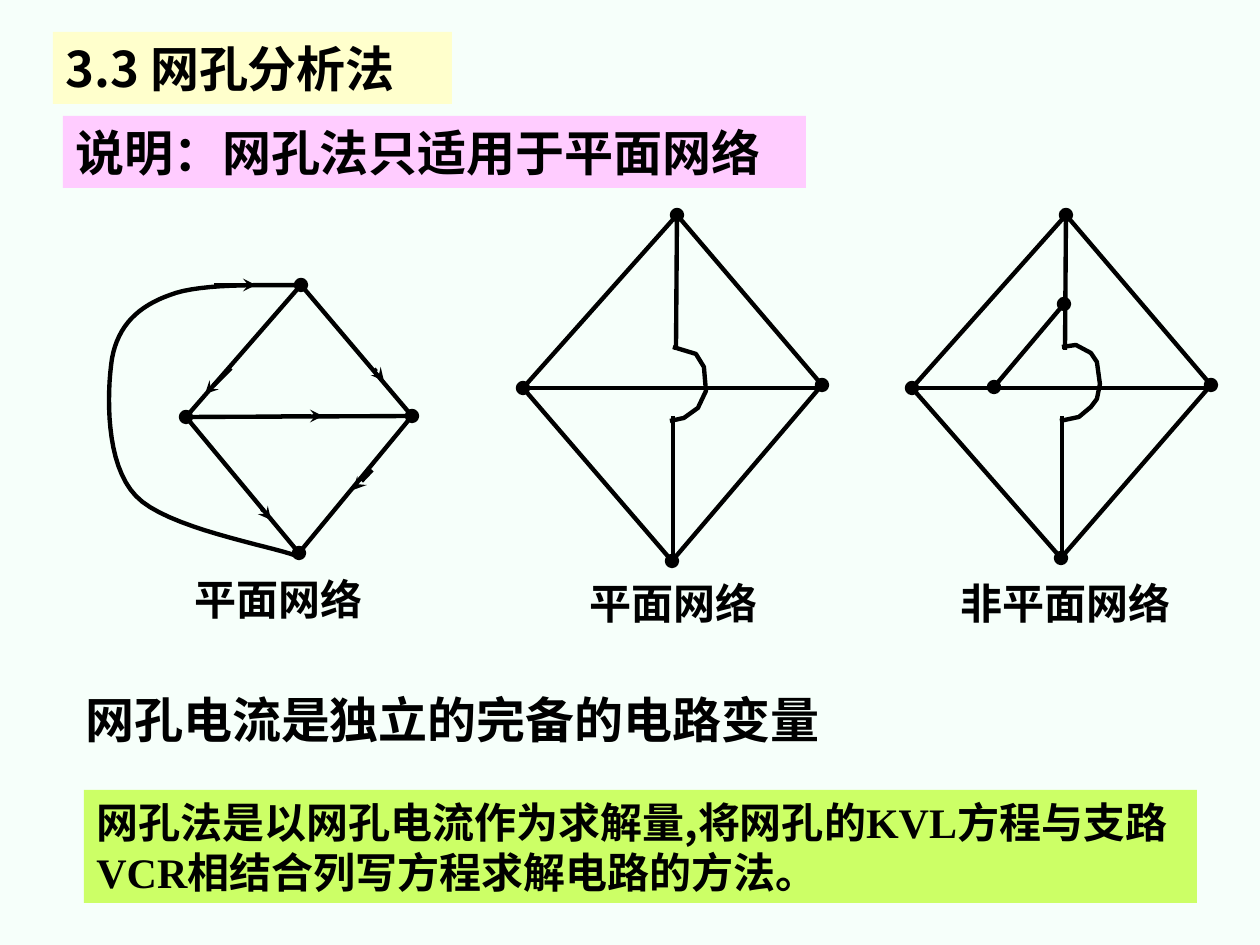
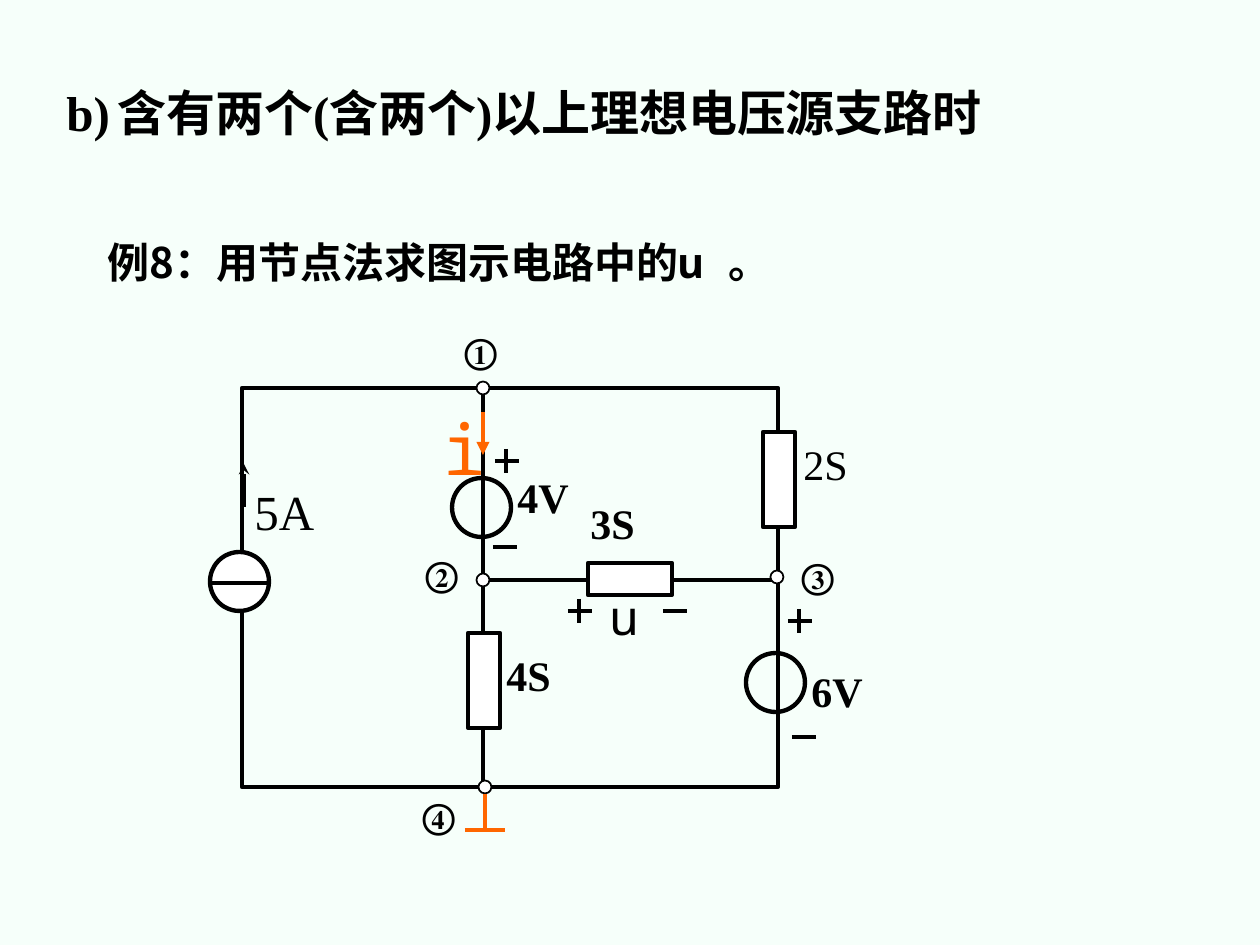
from dataclasses import dataclass
from itertools import pairwise

from lxml import etree
from pptx import Presentation
from pptx.dml.color import RGBColor
from pptx.enum.shapes import MSO_CONNECTOR, MSO_SHAPE
from pptx.oxml.ns import qn
from pptx.slide import Slide
from pptx.util import Pt

PX = 914400 / 126
STRAIGHT = MSO_CONNECTOR.STRAIGHT
OVAL = MSO_SHAPE.OVAL
RECTANGLE = MSO_SHAPE.RECTANGLE

MINT = RGBColor(0xF6, 0xFF, 0xFA)
BLACK = RGBColor(0, 0, 0)
WHITE = RGBColor(0xFF, 0xFF, 0xFF)
ORANGE = RGBColor(0xFF, 0x66, 0x00)
CREAM = RGBColor(0xFF, 0xFF, 0xCC)
PINK = RGBColor(0xFF, 0xCC, 0xFF)
LIME = RGBColor(0xCC, 0xFF, 0x66)

TIMES = "Times New Roman"
HAN = "Noto Sans CJK SC"
MONO = "Noto Sans Mono"


def emu(length):
    """Turn a length in px into EMU."""
    return round(length * PX)


def add_text(page, box, spans, size=28, font=TIMES, asian=HAN, color=BLACK,
             bold=True, fill=None, spacing=None, indent=0, tab=None):
    """Write a string, or (text, font) spans, into a text box."""
    shape = page.shapes.add_textbox(*map(emu, box))
    if fill is not None:
        shape.fill.solid()
        shape.fill.fore_color.rgb = fill
    shape.text_frame.word_wrap = True
    para = shape.text_frame.paragraphs[0]
    if spacing:
        para.line_spacing = spacing
    if tab:
        settings = para._p.get_or_add_pPr()
        settings.set("marL", "0")
        settings.set("indent", str(emu(indent)))
        stops = etree.SubElement(settings, qn("a:tabLst"))
        etree.SubElement(stops, qn("a:tab"), pos=str(emu(tab)), algn="l")
    if isinstance(spans, str):
        spans = [(spans, font)]
    for words, face in spans:
        span = para.add_run()
        span.text = words
        span.font.size = Pt(size)
        span.font.bold = bold
        span.font.name = face
        span.font.color.rgb = color
        latin = span._r.rPr.find(qn("a:latin"))
        latin.addnext(etree.Element(qn("a:ea"), typeface=asian))


@dataclass
class Region:
    """An area of a page whose parts are placed from its top left corner."""

    page: Slide
    left: int
    top: int

    def text(self, x, y, width, height, spans, **style):
        """Write text at a place in the region."""
        add_text(self.page, (self.left + x, self.top + y, width, height), spans, **style)

    def line(self, start, end, color=BLACK, weight=2.5, arrow=None):
        """Draw a straight line, with an arrowhead at its end if one is named."""
        ends = [emu(value) for x, y in (start, end)
                for value in (self.left + x, self.top + y)]
        connector = self.page.shapes.add_connector(STRAIGHT, *ends)
        connector.line.color.rgb = color
        connector.line.width = Pt(weight)
        if arrow:
            etree.SubElement(connector.line._get_or_add_ln(), qn("a:tailEnd"), type=arrow)
        etree.SubElement(connector._element.spPr, qn("a:effectLst"))

    def shape(self, kind, x, y, width, height, fill=None, weight=2.5):
        """Draw a black-lined preset shape."""
        box = (self.left + x, self.top + y, width, height)
        outline(self.page.shapes.add_shape(kind, *map(emu, box)), fill, weight)

    def disc(self, centre, size=10, fill=BLACK, weight=2.5):
        """Draw a small circle around a centre."""
        x, y = centre
        self.shape(OVAL, x - size / 2, y - size / 2, size, size, fill, weight)

    def open_path(self, points):
        """Draw an open outline through points."""
        places = [(emu(self.left + x), emu(self.top + y)) for x, y in points]
        builder = self.page.shapes.build_freeform(*places[0])
        builder.add_line_segments(places[1:], close=False)
        outline(builder.convert_to_shape())


def outline(shape, fill=None, weight=2.5):
    """Give a shape a black line, an optional fill and no shadow."""
    shape.shadow.inherit = False
    shape.line.color.rgb = BLACK
    shape.line.width = Pt(weight)
    if fill is None:
        shape.fill.background()
    else:
        shape.fill.solid()
        shape.fill.fore_color.rgb = fill


def bezier_points(controls, steps=16):
    """Sample a chain of cubic curves that share their end points."""
    points = [controls[0]]
    for first in range(0, len(controls) - 1, 3):
        a, b, c, d = controls[first:first + 4]
        for step in range(1, steps + 1):
            t = step / steps
            s = 1 - t
            points.append(tuple(
                s**3 * p + 3 * s * s * t * q + 3 * s * t * t * r + t**3 * u
                for p, q, r, u in zip(a, b, c, d)))
    return points


def draw_directed_graph(region):
    """Draw the planar graph with directed branches and an outer loop."""
    top, right, bottom, left = nodes = [(201, 10), (312, 141), (199, 278), (86, 142)]
    for start, end in pairwise([*nodes, top]):
        region.line(start, end)
    region.line(left, right)
    for node in nodes:
        region.disc(node)
    arrows = [
        ((181, 141), (223, 141)), ((114, 10), (156, 10)), ((274, 94), (284, 106)),
        ((272, 195), (253, 215)), ((131, 93), (105, 119)), ((162, 234), (171, 245)),
    ]
    for start, end in arrows:
        region.line(start, end, arrow="stealth")
    region.open_path(bezier_points([
        (200, 10), (178, 11), (102, 7), (70, 20), (39, 31), (18, 50), (12, 84),
        (7, 118), (5, 189), (36, 221), (66, 253), (171, 271), (197, 281)]))
    region.text(82, 292, 220, 63, "平面网络", size=24)


def draw_bridge_graph(region, height, bump, caption, caption_left, branch=()):
    """Draw a diamond whose vertical branch hops over the horizontal one."""
    top, right, bottom, left = nodes = [(154, 0), (299, 170), (149, height), (0, 173)]
    for start, end in pairwise([*nodes, top]):
        region.line(start, end)
    region.line(left, (297, 173))
    region.line(top, (153, 135))
    region.line((150, 201), (150, height))
    region.open_path(bump)
    if branch:
        region.line(*branch)
    for node in (*nodes, *branch):
        region.disc(node)
    region.text(caption_left, 356, 242, 63, caption, size=24)


def draw_circuit(region):
    """Draw the four-node circuit with its sources, conductances and labels."""
    region.shape(RECTANGLE, 42, 68, 536, 399)
    region.line((283, 72), (283, 469))
    region.line((284, 260), (577, 260))
    for x, y, width, height in [(268, 313, 32, 95), (563, 112, 32, 95), (388, 243, 84, 32)]:
        region.shape(RECTANGLE, x, y, width, height, WHITE)
    for x, y, fill in [(252, 158, None), (546, 333, None), (10, 232, WHITE)]:
        region.shape(OVAL, x, y, 59, 59, fill)
    region.line((10, 263), (69, 263))
    region.line((44, 187), (44, 144), weight=2, arrow="stealth")

    pluses = [(307, 141), (600, 301), (380, 291)]
    minuses = [(305, 227), (604, 417), (475, 291)]
    for x, y in pluses + minuses:
        region.line((x - 12, y), (x + 12, y))
    for x, y in pluses:
        region.line((x - 1, y - 12), (x - 1, y + 12))

    for x, y, label, bold in [(294, 323, "4S", True), (599, 339, "6V", True),
                              (378, 171, "3S", True), (305, 145, "4V", True),
                              (591, 112, "2S", False)]:
        region.text(x, y, 100, 63, label, size=24, bold=bold)
    region.text(42, 155, 116, 72, "5A", bold=False)
    region.text(397, 260, 95, 72, "u", font=MONO, bold=False)
    for x, y, number in [(252, 3, "①"), (213, 226, "②"), (589, 228, "③"), (210, 468, "④")]:
        region.text(x, y, 95, 55, number, size=20, asian=TIMES)
    for terminal in [(283, 260), (285, 467), (283, 68), (577, 257)]:
        region.disc(terminal, size=13, fill=WHITE, weight=1)

    region.line((265, 510), (305, 510), ORANGE, 2.75)
    region.line((285, 474), (285, 512), ORANGE, 2.75)
    region.line((283, 92), (283, 135), ORANGE, arrow="triangle")
    region.text(231, 79, 63, 97, "i", size=40, font=MONO, color=ORANGE, bold=False)


def add_page(deck):
    """Add a blank page with the shared background."""
    page = deck.slides.add_slide(deck.slide_layouts[6])
    page.background.fill.solid()
    page.background.fill.fore_color.rgb = MINT
    return page


def build_mesh_page(deck):
    """Build the page on planar networks and the mesh method."""
    page = add_page(deck)
    add_text(page, (53, 32, 399, 72), "3.3 网孔分析法", font=HAN, fill=CREAM)
    add_text(page, (63, 116, 743, 72), "说明：网孔法只适用于平面网络", fill=PINK)
    draw_directed_graph(Region(page, 100, 275))
    draw_bridge_graph(
        Region(page, 523, 215), 346,
        [(147, 206), (161, 203), (175, 193), (183, 176), (181, 152), (173, 139), (150, 132)],
        "平面网络", 54)
    draw_bridge_graph(
        Region(page, 912, 215), 343,
        [(148, 206), (167, 202), (179, 192), (185, 184), (188, 169), (185, 147),
         (179, 138), (164, 130), (150, 132)],
        "非平面网络", 36, branch=((152, 89), (82, 172)))
    add_text(page, (73, 683, 796, 72), "网孔电流是独立的完备的电路变量")
    add_text(page, (84, 790, 1113, 113), [
        ("网孔法是以网孔电流作为求解量,将网孔的", HAN), ("KVL", TIMES),
        ("方程与支路", HAN), ("VCR", TIMES),
        ("相结合列写方程求解电路的方法。", HAN)], size=24, fill=LIME)


def build_example_page(deck):
    """Build the page with the nodal analysis example."""
    page = add_page(deck)
    add_text(page, (42, 76, 995, 131), "b)\t含有两个(含两个)以上理想电压源支路时",
             indent=12, tab=92)
    add_text(page, (95, 210, 794, 83), [
        ("例8：用节点法求图示电路中的", HAN), ("u ", MONO), ("。", HAN)],
        size=24, spacing=1.4)
    draw_circuit(Region(page, 200, 320))


def main():
    """Build and save the deck."""
    deck = Presentation()
    deck.slide_width = emu(1260)
    deck.slide_height = emu(945)
    build_mesh_page(deck)
    build_example_page(deck)
    deck.save("out.pptx")


if __name__ == "__main__":
    main()
